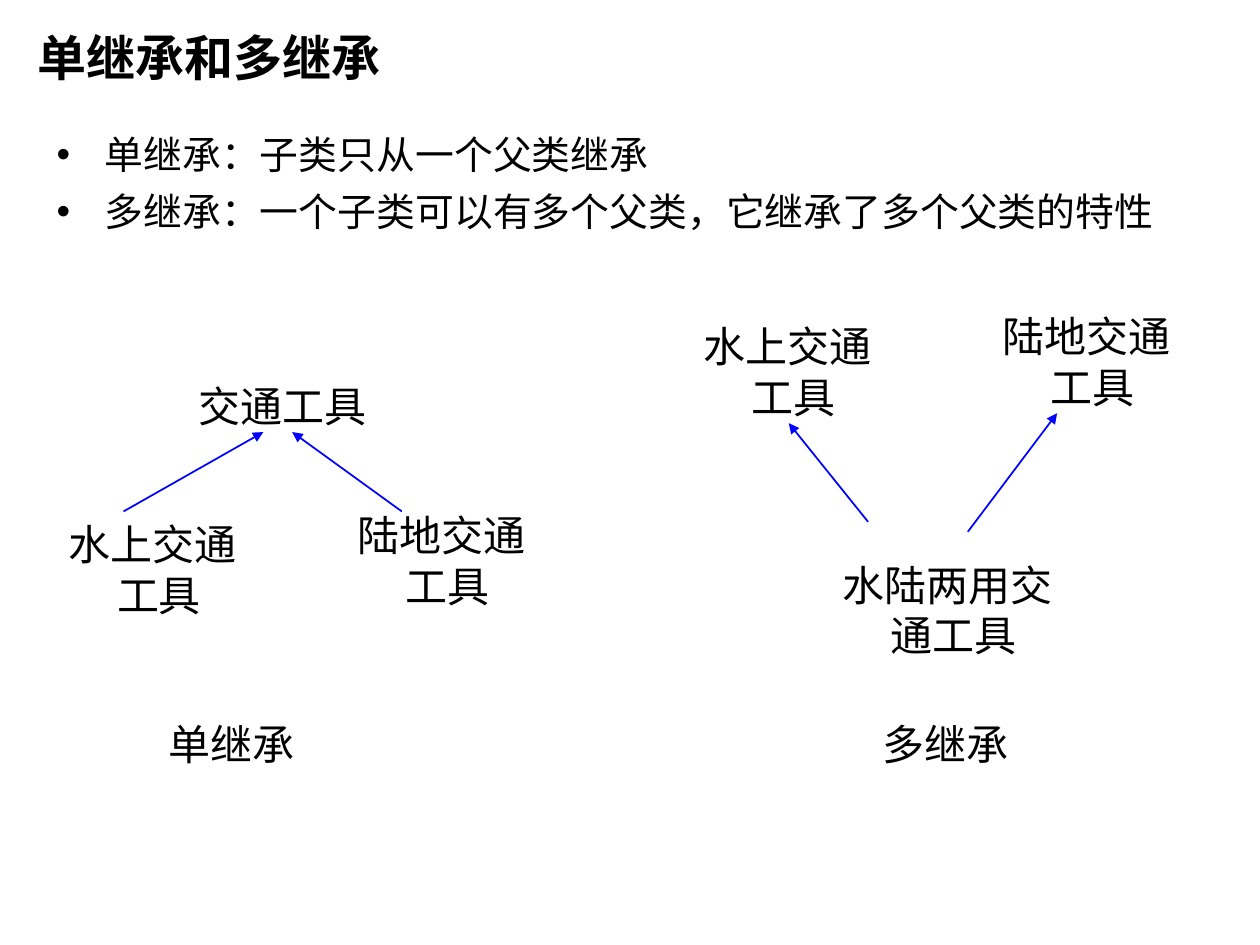
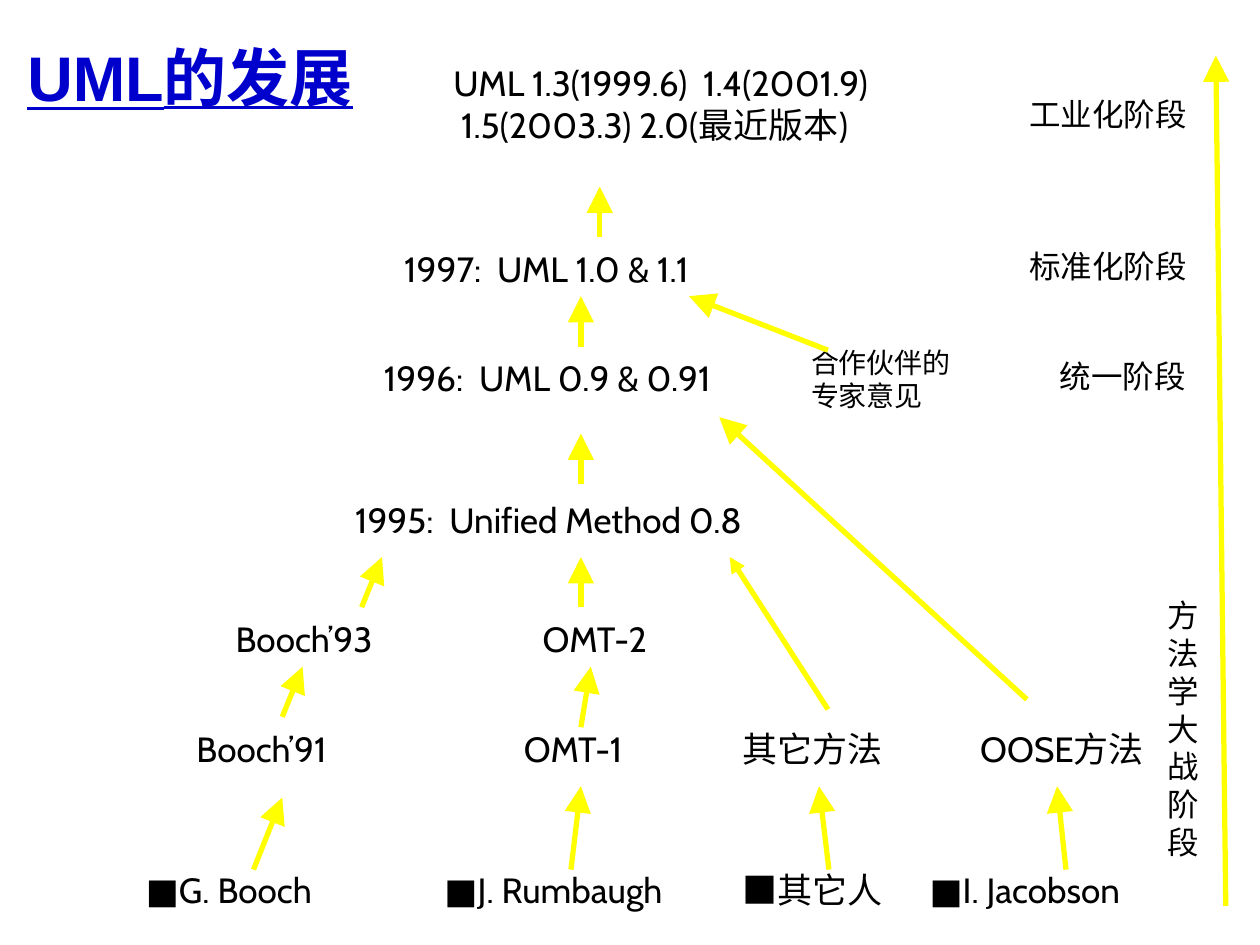
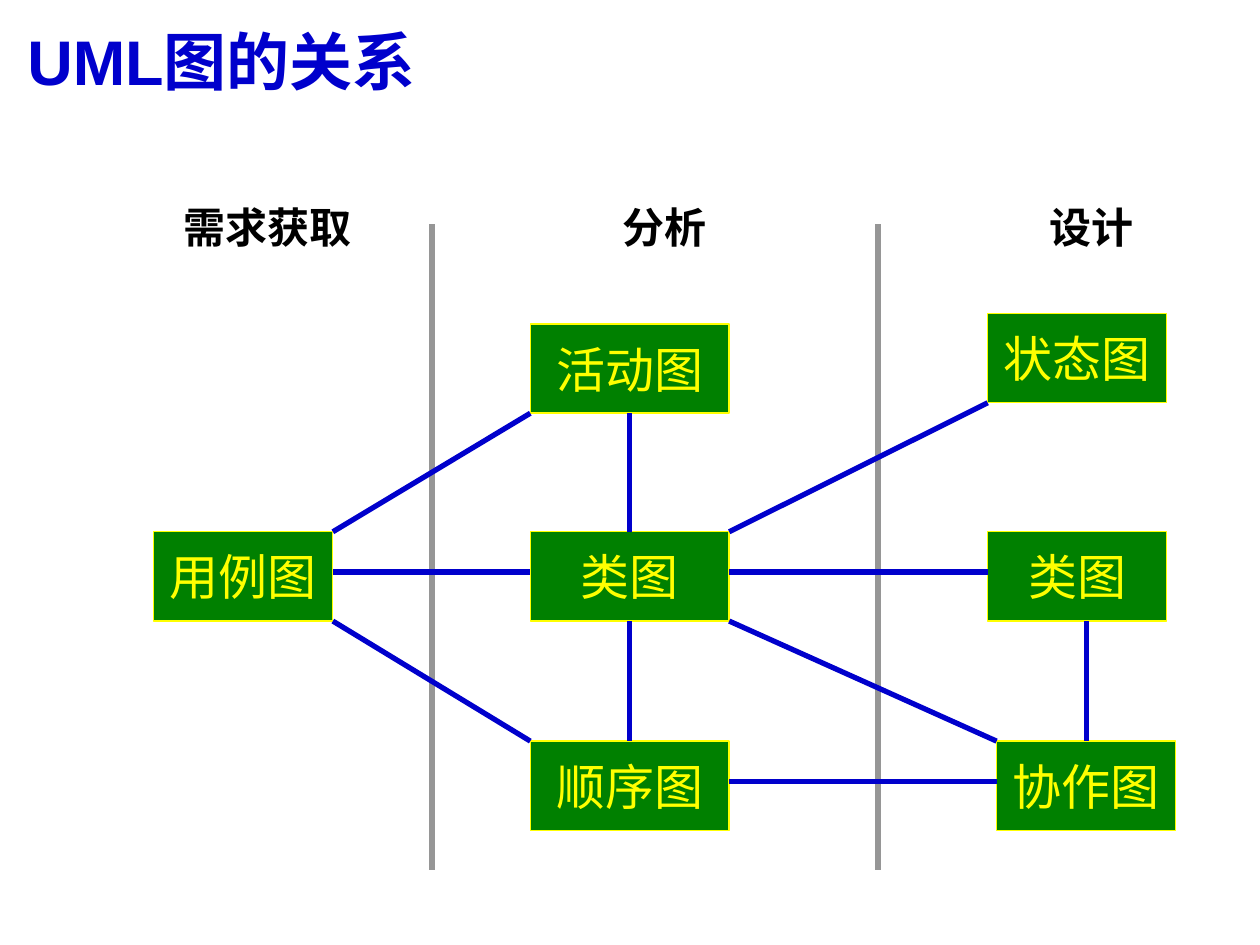
import lxml.etree
import pptx
import pptx.dml.color
import pptx.enum.shapes
import pptx.enum.text
import pptx.oxml.ns
import pptx.util

Cm, Pt = pptx.util.Cm, pptx.util.Pt
ALIGN, ANCHOR = pptx.enum.text.PP_ALIGN, pptx.enum.text.MSO_ANCHOR

BLACK, NAVY, BLUE, YELLOW = "000000", "0000CC", "0000FF", "FFFF00"
GREEN, GRAY = "008000", "969696"
LATIN, ROUND = "Arial", "Cabin"
HANGING = 0.97
WIDE_INSETS = (0.3, 0.15)
INSETS = (0.25, 0.13)

INHERITANCE_TITLE = ("单继承和多继承", (0.51, 0.33, 18.11, 1.65))
DEFINITIONS = [
    "单继承：子类只从一个父类继承",
    "多继承：一个子类可以有多个父类，它继承了多个父类的特性",
]
VEHICLES = [
    ("交通工具", (3.71, 7.52, 4.01, 0.99)),
    ("水上交通工具", (1.09, 10.31, 4.39, 2.01)),
    ("陆地交通工具", (6.91, 10.13, 4.39, 2.21)),
    ("水陆两用交通工具", (16.69, 11.13, 5.59, 2.01)),
    ("陆地交通工具", (19.91, 6.12, 3.99, 2.21)),
    ("水上交通工具", (13.89, 6.32, 4.19, 2.01)),
    ("单继承", (3.1, 14.33, 3.61, 0.99)),
    ("多继承", (17.5, 14.33, 3.61, 0.99)),
]
INHERITANCE_ARROWS = [
    (2.49, 10.31, 5.31, 8.71),
    (8.1, 10.31, 5.89, 8.71),
    (17.5, 10.52, 15.9, 8.53),
    (19.51, 10.72, 21.31, 8.33),
]

HISTORY_TITLE = ("UML的发展", (0.3, 0.53, 20.8, 2.01))
HISTORY_ROWS = [
    (17.37, [("■G. Booch", 2.69, 4.39), ("■J. Rumbaugh", 8.71, 5.61),
             ("■其它人", 14.71, 3.99), ("■I. Jacobson", 18.49, 5.21)]),
    (14.53, [("Booch’91", 3.71, 3.61), ("OMT-1", 10.31, 3),
             ("其它方法", 14.71, 3.4), ("OOSE方法", 19.51, 3.81)]),
    (12.32, [("Booch’93", 4.5, 3.61), ("OMT-2", 10.69, 3)]),
    (9.91, [("1995:  Unified Method 0.8", 6.91, 9.19)]),
    (7.06, [("1996:  UML 0.9 & 0.91", 7.49, 7.59)]),
    (4.85, [("1997:  UML 1.0 & 1.1", 7.9, 7.59)]),
]
RELEASES = ["UML 1.3(1999.6)  1.4(2001.9)", " 1.5(2003.3) 2.0(最近版本)"]
PHASES = [
    ("工业化阶段", (20.5, 1.78, 3.99, 1.02)),
    ("标准化阶段", (20.5, 4.85, 3.99, 1.02)),
    ("统一阶段", (21.11, 7.06, 3.2, 1.02)),
    ("方法学大战阶段", (23.29, 11.89, 1.19, 5.59)),
]
OTHER_METHODS_ARROW = (16.69, 14.3, 14.71, 11.23)
HISTORY_ARROWS = [
    (5.11, 17.53, 5.69, 16.08),
    (11.51, 17.53, 11.71, 15.85),
    (16.71, 17.53, 16.51, 15.85),
    (21.49, 17.53, 21.31, 15.85),
    (5.69, 14.45, 6.1, 13.44),
    (11.71, 14.66, 11.91, 13.44),
    (7.29, 12.24, 7.7, 11.23),
    (11.71, 12.24, 11.71, 11.23),
    (11.71, 9.75, 11.71, 8.74),
    (11.71, 6.99, 11.71, 5.97),
    (12.09, 4.78, 12.09, 3.76),
    (20.7, 14.1, 14.5, 8.41),
    (16.69, 7.06, 13.89, 5.97),
    (24.71, 18.26, 24.51, 1.12),
]

DIAGRAMS_TITLE = ("UML图的关系", (0.3, 0.33, 22.4, 1.6))
STAGES = [("需求获取", 3.1), ("分析", 11.1), ("设计", 19.71)]
DIVIDERS = [8.71, 17.7]
DIAGRAM_HEIGHT = 1.8
DIAGRAMS = {
    "use case": ("用例图", 3.1, 10.72, 3.61),
    "activity": ("活动图", 10.69, 6.53, 4.01),
    "analysis class": ("类图", 10.69, 10.72, 4.01),
    "sequence": ("顺序图", 10.69, 14.94, 4.01),
    "state": ("状态图", 19.91, 6.32, 3.61),
    "design class": ("类图", 19.91, 10.72, 3.61),
    "collaboration": ("协作图", 20.09, 14.94, 3.61),
}
POINTS = {
    "top left": (0, 0), "top right": (1, 0),
    "bottom left": (0, 1), "bottom right": (1, 1),
    "left": (0, 0.45), "right": (1, 0.45),
    "top": (0.5, 0), "bottom": (0.5, 1), "bottom offset": (0.55, 1),
}
LINKS = [
    ("use case", "top right", "activity", "bottom left"),
    ("use case", "right", "analysis class", "left"),
    ("use case", "bottom right", "sequence", "top left"),
    ("analysis class", "top right", "state", "bottom left"),
    ("analysis class", "right", "design class", "left"),
    ("analysis class", "bottom right", "collaboration", "top left"),
    ("analysis class", "bottom", "sequence", "top"),
    ("sequence", "right", "collaboration", "left"),
    ("design class", "bottom offset", "collaboration", "top"),
    ("activity", "bottom", "analysis class", "top"),
]


def color(value):
    return pptx.dml.color.RGBColor.from_string(value)


def apply(target, values):
    for name, value in values.items():
        setattr(target, name, value)


def add_xml(parent, tag, **attributes):
    return lxml.etree.SubElement(parent, pptx.oxml.ns.qn(tag), attributes)


def write(shape, lines, size, font=ROUND, ink=BLACK, bold=False, underline=False,
          align=ALIGN.LEFT, anchor=ANCHOR.TOP, insets=INSETS, wrap=True,
          hanging=0, before=0, bullet=None):
    frame = shape.text_frame
    horizontal, vertical = map(Cm, insets)
    apply(frame, {
        "auto_size": pptx.enum.text.MSO_AUTO_SIZE.NONE,
        "word_wrap": wrap, "vertical_anchor": anchor,
        "margin_left": horizontal, "margin_right": horizontal,
        "margin_top": vertical, "margin_bottom": vertical,
    })
    for index, line in enumerate(lines):
        paragraph = frame.add_paragraph() if index else frame.paragraphs[0]
        apply(paragraph, {"alignment": align, "space_before": Pt(before)})
        properties = paragraph._p.get_or_add_pPr()
        if hanging:
            properties.set("marL", str(Cm(hanging)))
            properties.set("indent", str(-Cm(hanging)))
        if bullet:
            add_xml(properties, "a:buFont", typeface=LATIN)
            add_xml(properties, "a:buChar", char=bullet)
        run = paragraph.add_run()
        run.text = line
        apply(run.font, {"name": font, "size": Pt(size), "bold": bold,
                         "underline": underline})
        run.font.color.rgb = color(ink)
        add_xml(run._r.get_or_add_rPr(), "a:ea", typeface=ROUND)


def add_text(slide, lines, box, size, **style):
    write(slide.shapes.add_textbox(*map(Cm, box)), lines, size, **style)


def add_line(slide, ends, ink, width, head=None):
    connector = slide.shapes.add_connector(
        pptx.enum.shapes.MSO_CONNECTOR.STRAIGHT, *map(Cm, ends))
    connector.line.color.rgb = color(ink)
    connector.line.width = Pt(width)
    if head:
        add_xml(connector.line._get_or_add_ln(), "a:tailEnd",
                type="triangle", w=head, len=head)
    add_xml(connector._element.spPr, "a:effectLst")


def add_titled_slide(presentation, title, size, **style):
    slide = presentation.slides.add_slide(presentation.slide_layouts[5])
    text, box = title
    shape = slide.shapes.title
    apply(shape, dict(zip(("left", "top", "width", "height"), map(Cm, box))))
    write(shape, [text], size, font=LATIN, bold=True, **style)
    return slide


def build_inheritance(presentation):
    slide = add_titled_slide(presentation, INHERITANCE_TITLE, 28, anchor=ANCHOR.MIDDLE)
    hanging = {"font": LATIN, "hanging": HANGING, "before": 6}
    add_text(slide, DEFINITIONS, (0.89, 2.51, 23.8, 3.35), 22.2, bullet="•", **hanging)
    for text, box in VEHICLES:
        add_text(slide, [text], box, 24, insets=WIDE_INSETS, **hanging)
    for ends in INHERITANCE_ARROWS:
        add_line(slide, ends, BLUE, 1, "med")


def build_history(presentation):
    slide = add_titled_slide(presentation, HISTORY_TITLE, 36, ink=NAVY,
                             underline=True, anchor=ANCHOR.MIDDLE)
    for top, labels in HISTORY_ROWS:
        for text, left, width in labels:
            add_text(slide, [text], (left, top, width, 1.12), 20)
    add_text(slide, RELEASES, (8.89, 1.12, 10.01, 1.96), 20)
    for text, box in PHASES:
        add_text(slide, [text], box, 18)
    add_text(slide, ["合作伙伴的专家意见"], (16.1, 6.83, 3.81, 1.63), 16)
    for ends in HISTORY_ARROWS:
        add_line(slide, ends, YELLOW, 3, "lg")
    add_line(slide, OTHER_METHODS_ARROW, YELLOW, 3, "med")


def point_on(diagram, point):
    text, left, top, width = DIAGRAMS[diagram]
    across, down = POINTS[point]
    return left + across * width, top + down * DIAGRAM_HEIGHT


def build_diagrams(presentation):
    slide = add_titled_slide(presentation, DIAGRAMS_TITLE, 36, ink=NAVY)
    for text, left in STAGES:
        add_text(slide, [text], (left, 3.94, 4.6, 1.19), 24, bold=True,
                 align=ALIGN.CENTER)
    for left in DIVIDERS:
        add_line(slide, (left, 4.52, left, 17.53), GRAY, 3)
    for text, left, top, width in DIAGRAMS.values():
        shape = slide.shapes.add_shape(
            pptx.enum.shapes.MSO_SHAPE.RECTANGLE,
            *map(Cm, (left, top, width, DIAGRAM_HEIGHT)))
        shape.shadow.inherit = False
        shape.fill.solid()
        shape.fill.fore_color.rgb = color(GREEN)
        shape.line.color.rgb = color(YELLOW)
        shape.line.width = Pt(0.75)
        write(shape, [text], 28, ink=YELLOW, align=ALIGN.CENTER,
              anchor=ANCHOR.MIDDLE, wrap=False)
    for start, start_point, end, end_point in LINKS:
        ends = point_on(start, start_point) + point_on(end, end_point)
        add_line(slide, ends, NAVY, 3)


def main():
    presentation = pptx.Presentation()
    apply(presentation, {"slide_width": Cm(25.4), "slide_height": Cm(19.05)})
    build_inheritance(presentation)
    build_history(presentation)
    build_diagrams(presentation)
    presentation.save("out.pptx")


if __name__ == "__main__":
    main()
